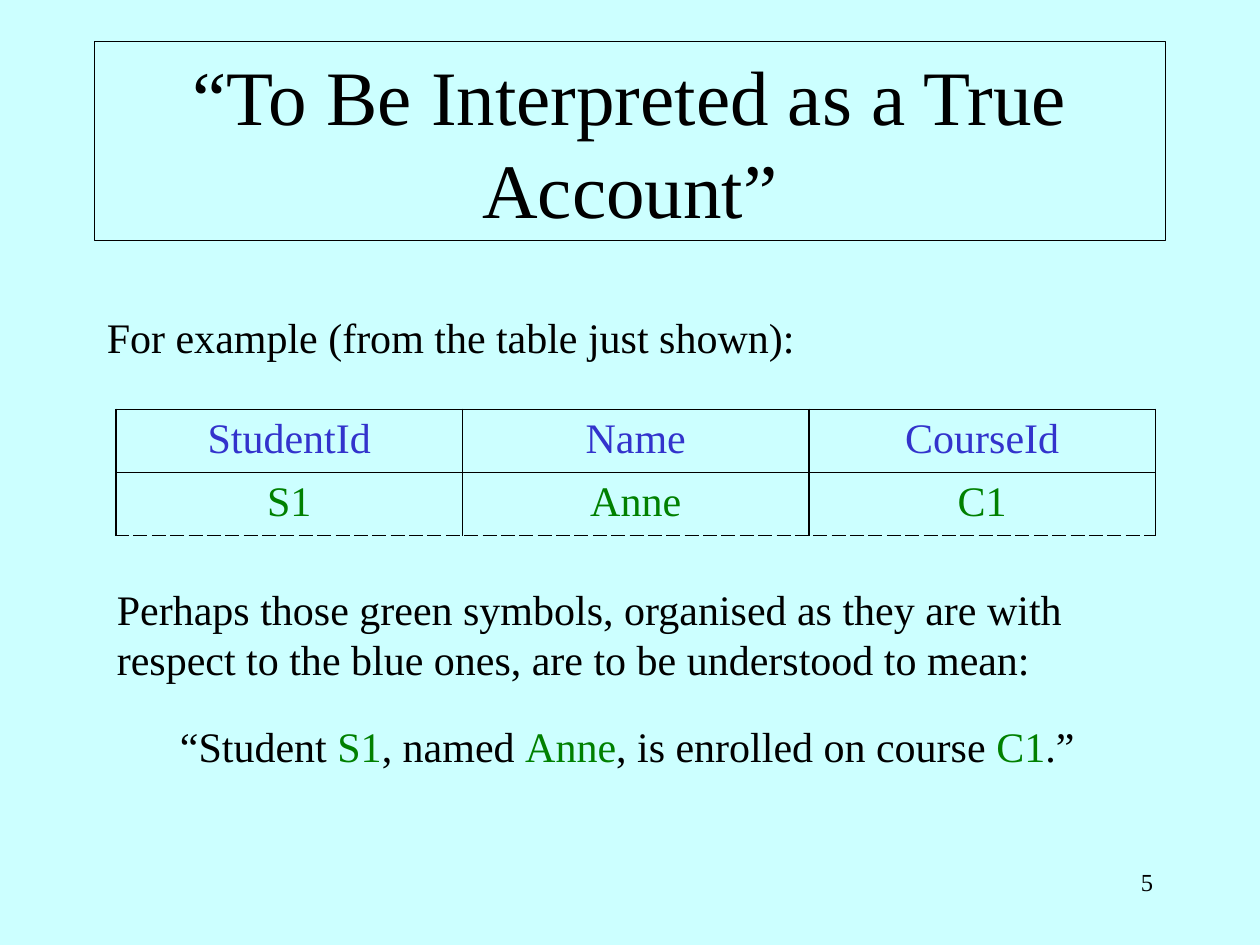
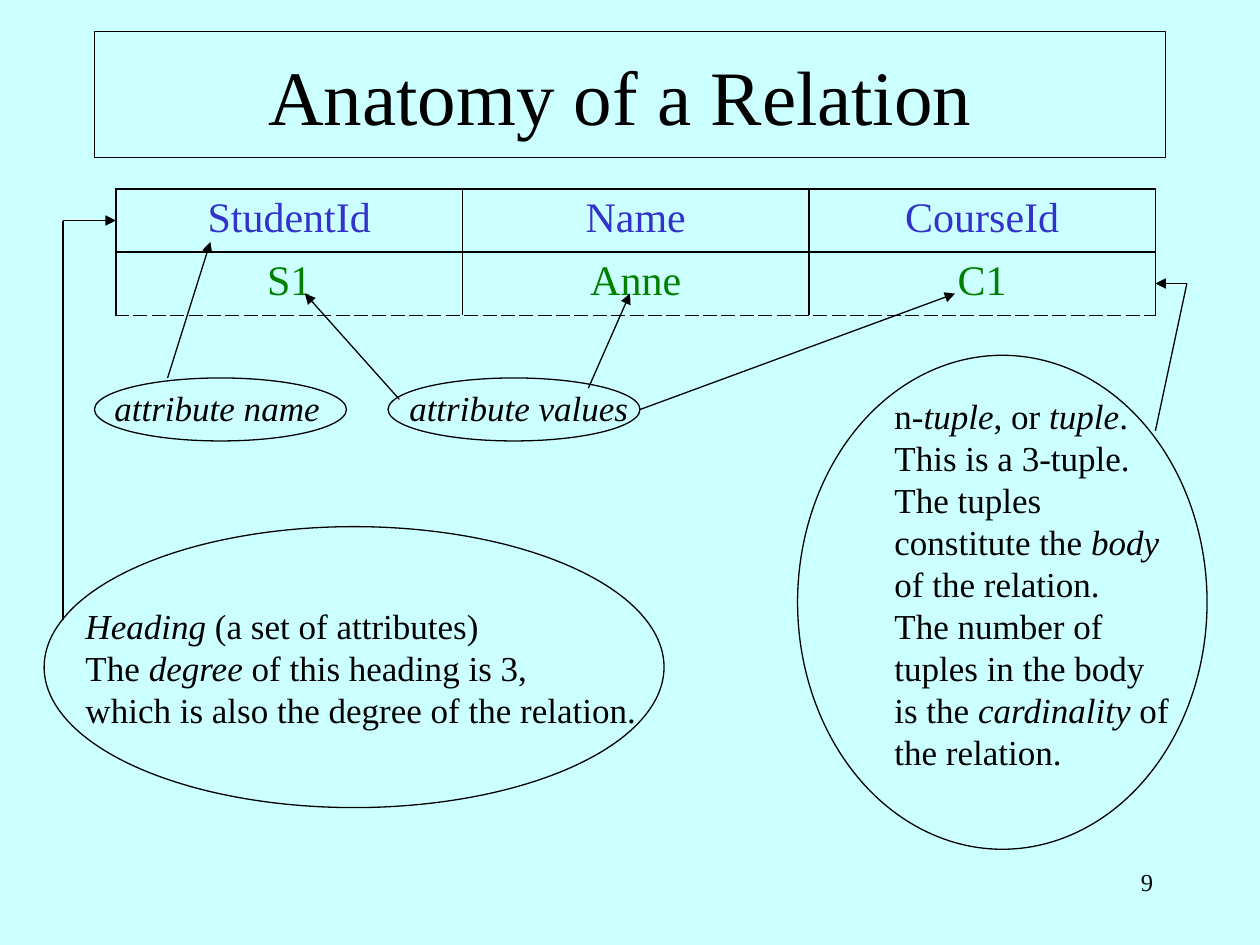
"""Build two slides on reading a relation as a true account."""
import pptx
import pptx.util
import pptx.dml.color
import pptx.enum.shapes
import pptx.enum.text
import pptx.oxml
import pptx.oxml.ns

Inches = pptx.util.Inches
Pt = pptx.util.Pt
RGBColor = pptx.dml.color.RGBColor
ALIGN = pptx.enum.text.PP_ALIGN
ANCHOR = pptx.enum.text.MSO_ANCHOR
SHAPE = pptx.enum.shapes.MSO_SHAPE
STRAIGHT = pptx.enum.shapes.MSO_CONNECTOR.STRAIGHT

SKY = RGBColor(0xCC, 0xFF, 0xFF)
BLACK = RGBColor(0, 0, 0)
BLUE = RGBColor(0x33, 0x33, 0xCC)
GREEN = RGBColor(0, 0x80, 0)
FONT = "Times New Roman"
THICK, THIN = 1.08, 0.45

ROWS = [(BLUE, ("StudentId", "Name", "CourseId")), (GREEN, ("S1", "Anne", "C1"))]
LEFT, COL, ROW = 0.92, 2.75, 0.5
PAGE = (7.17, 6.83, 2.08, 0.5)

# Each run is a text with an optional style: "i" for italic, "g" for green.
SLIDES = [
    {
        "title": "“To Be Interpreted as a True Account”",
        "frame": (0.75, 0.33, 8.5, 1.58),
        "table": (3.25, THIN),
        "size": 24,
        "texts": [
            ((0.75, 2.42, 5.66, 0.5), False, [[("For example (from the table just shown):",)]]),
            ((1.33, 5.67, 7.33, 0.5), True, [[
                ("“Student ",), ("S1", "g"), (", named ",), ("Anne", "g"),
                (", is enrolled on course ",), ("C1", "g"), (".”",)]]),
            ((0.83, 4.58, 7.83, 0.9), True, [[
                ("Perhaps those green symbols, organised as they are with respect "
                 "to the blue ones, are to be understood to mean:",)]]),
        ],
        "ovals": [], "lines": [], "arrows": [],
        "page": "5",
    },
    {
        "title": "Anatomy of a Relation ",
        "frame": (0.75, 0.25, 8.5, 1),
        "table": (1.5, THICK),
        "size": 20,
        "texts": [
            ((0.81, 3.02, 1.83, 0.44), False, [[("attribute name", "i")]]),
            ((3.15, 3.02, 1.94, 0.44), False, [[("attribute values", "i")]]),
            ((7, 3.08, 2.42, 3.1), True, [[
                ("n",), ("-tuple", "i"), (", or ",), ("tuple", "i"),
                (".\nThis is a 3-tuple.\nThe tuples constitute the ",), ("body ", "i"),
                ("of the relation.\nThe number of tuples in the body is the ",),
                ("cardinality", "i"), (" of the relation.",)]]),
            ((0.58, 4.75, 5.18, 1.1), True, [
                [("Heading ", "i"), ("(a set of attributes)\nThe ",), ("degree", "i"),
                 (" of this heading is 3,",)],
                [("which is also the degree of the relation.",)]]),
        ],
        "ovals": [(6.33, 2.82, 3.25, 3.92), (0.35, 4.18, 4.92, 2.23),
                  (3.08, 3, 2, 0.5), (0.75, 3, 2, 0.5)],
        "lines": [(9.42, 2.25, 9.17, 3.42), (0.5, 1.75, 0.5, 4.92)],
        "arrows": [(1.33, 3, 1.67, 1.92), (3.17, 3.17, 2.42, 2.33),
                   (4.67, 3.08, 5, 2.33), (5.08, 3.25, 7.58, 2.33),
                   (9.42, 2.25, 9.17, 2.25), (0.5, 1.75, 0.92, 1.75)],
        "page": "9",
    },
]


def node(tag, **attrs):
    """Make a drawing element with attributes."""
    item = pptx.oxml.parse_xml(f"<a:{tag} {pptx.oxml.ns.nsdecls('a')}/>")
    for key, value in attrs.items():
        item.set(key, value)
    return item


def write(para, text, size, color=BLACK, style=""):
    """Add a styled run, with a line break at each newline."""
    for num, part in enumerate(text.split("\n")):
        if num:
            para.add_line_break()
        run = para.add_run()
        run.text = part
        font = run.font
        font.name, font.size = FONT, Pt(size)
        font.italic = style == "i"
        font.color.rgb = GREEN if style == "g" else color


def outline(shape):
    """Give a shape a thin black outline and no fill."""
    shape.fill.background()
    shape.line.color.rgb = BLACK
    shape.line.width = Pt(0.75)


def add_title(slide, text, frame):
    """Place the framed title."""
    title = slide.shapes.title
    title.left, title.top, title.width, title.height = map(Inches, frame)
    outline(title)
    body = title.text_frame
    body.word_wrap = True
    body.auto_size = pptx.enum.text.MSO_AUTO_SIZE.NONE
    body.vertical_anchor = ANCHOR.MIDDLE
    para = body.paragraphs[0]
    para.alignment = ALIGN.CENTER
    write(para, text, 44)


def add_text(slide, box, wrap, paras, size, align=ALIGN.LEFT):
    """Add a text box of paragraphs of runs."""
    body = slide.shapes.add_textbox(*map(Inches, box)).text_frame
    body.word_wrap = wrap
    for num, runs in enumerate(paras):
        para = body.add_paragraph() if num else body.paragraphs[0]
        para.alignment = align
        for text, *style in runs:
            write(para, text, size, style=style[0] if style else "")


def add_edges(cell, top, bottom, dash):
    """Draw the four borders of a cell."""
    props = cell._tc.get_or_add_tcPr()
    edges = [("lnL", THICK), ("lnR", THICK), ("lnT", top), ("lnB", bottom)]
    for num, (tag, width) in enumerate(edges):
        edge = node(tag, w=str(Pt(width)))
        fill = node("solidFill")
        fill.append(node("srgbClr", val=str(BLACK)))
        edge.append(fill)
        edge.append(node("prstDash", val="dash" if dash and tag == "lnB" else "solid"))
        props.insert(num, edge)


def add_grid(slide, top, rule):
    """Add the relation's table with its heading rule and dashed foot."""
    count = len(ROWS[0][1])
    table = slide.shapes.add_table(len(ROWS), count, Inches(LEFT), Inches(top),
                                   Inches(COL * count), Inches(ROW * len(ROWS))).table
    table.first_row = table.horz_banding = False
    widths = [(THICK, rule, False), (rule, THIN, True)]
    for row, (color, names) in enumerate(ROWS):
        for col, name in enumerate(names):
            cell = table.cell(row, col)
            cell.fill.background()
            add_edges(cell, *widths[row])
            para = cell.text_frame.paragraphs[0]
            para.alignment = ALIGN.CENTER
            write(para, name, 24, color)


def add_line(slide, ends, arrow):
    """Add a straight line, with an arrowhead at its end if asked."""
    link = slide.shapes.add_connector(STRAIGHT, *map(Inches, ends))
    link.line.color.rgb = BLACK
    link.line.width = Pt(0.75)
    if arrow:
        link.line._get_or_add_ln().append(node("tailEnd", type="triangle"))
    link._element.spPr.append(node("effectLst"))


def main():
    """Build and save the slides."""
    deck = pptx.Presentation()
    deck.slide_width, deck.slide_height = Inches(10), Inches(7.5)
    back = deck.slide_master.background.fill
    back.solid()
    back.fore_color.rgb = SKY
    for data in SLIDES:
        slide = deck.slides.add_slide(deck.slide_layouts[5])
        add_title(slide, data["title"], data["frame"])
        add_grid(slide, *data["table"])
        for box, wrap, paras in data["texts"]:
            add_text(slide, box, wrap, paras, data["size"])
        for box in data["ovals"]:
            oval = slide.shapes.add_shape(SHAPE.OVAL, *map(Inches, box))
            oval.shadow.inherit = False
            outline(oval)
        for kind in ("lines", "arrows"):
            for ends in data[kind]:
                add_line(slide, ends, kind == "arrows")
        add_text(slide, PAGE, True, [[(data["page"],)]], 14, ALIGN.RIGHT)
    deck.save("out.pptx")


if __name__ == "__main__":
    main()
